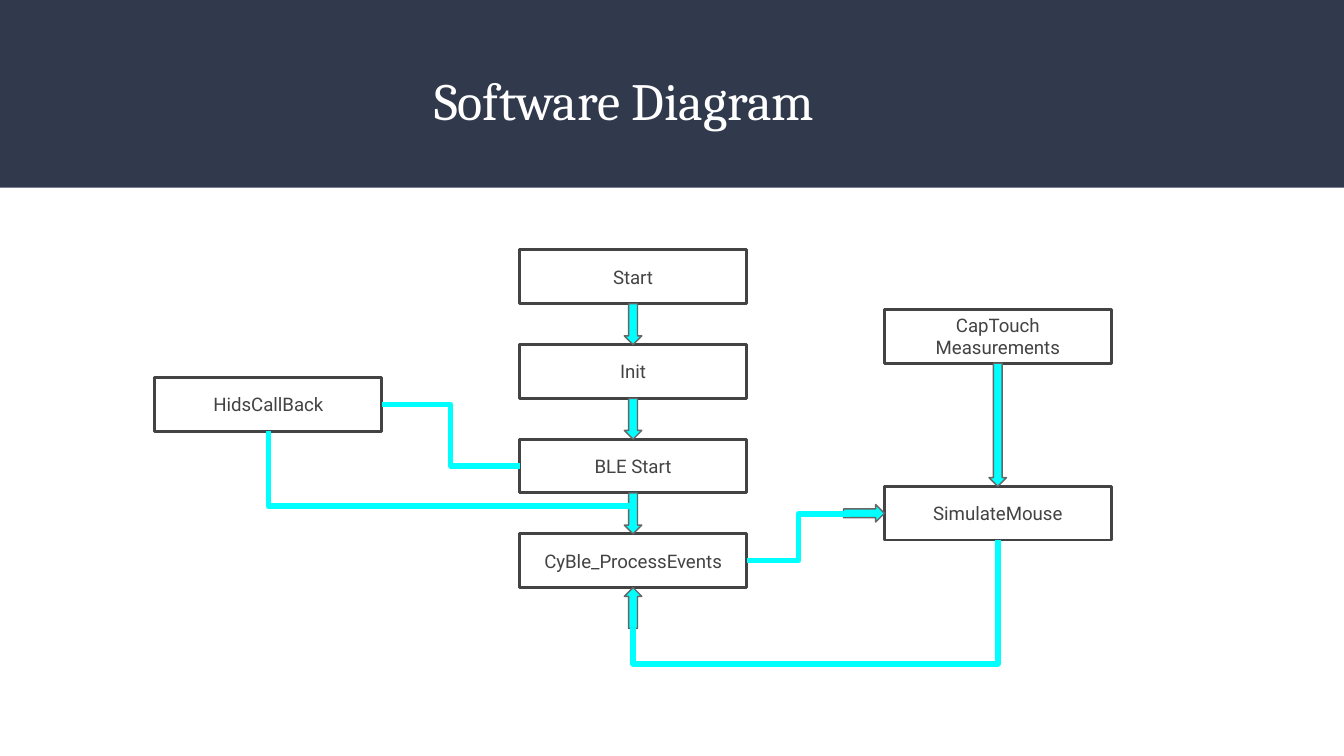
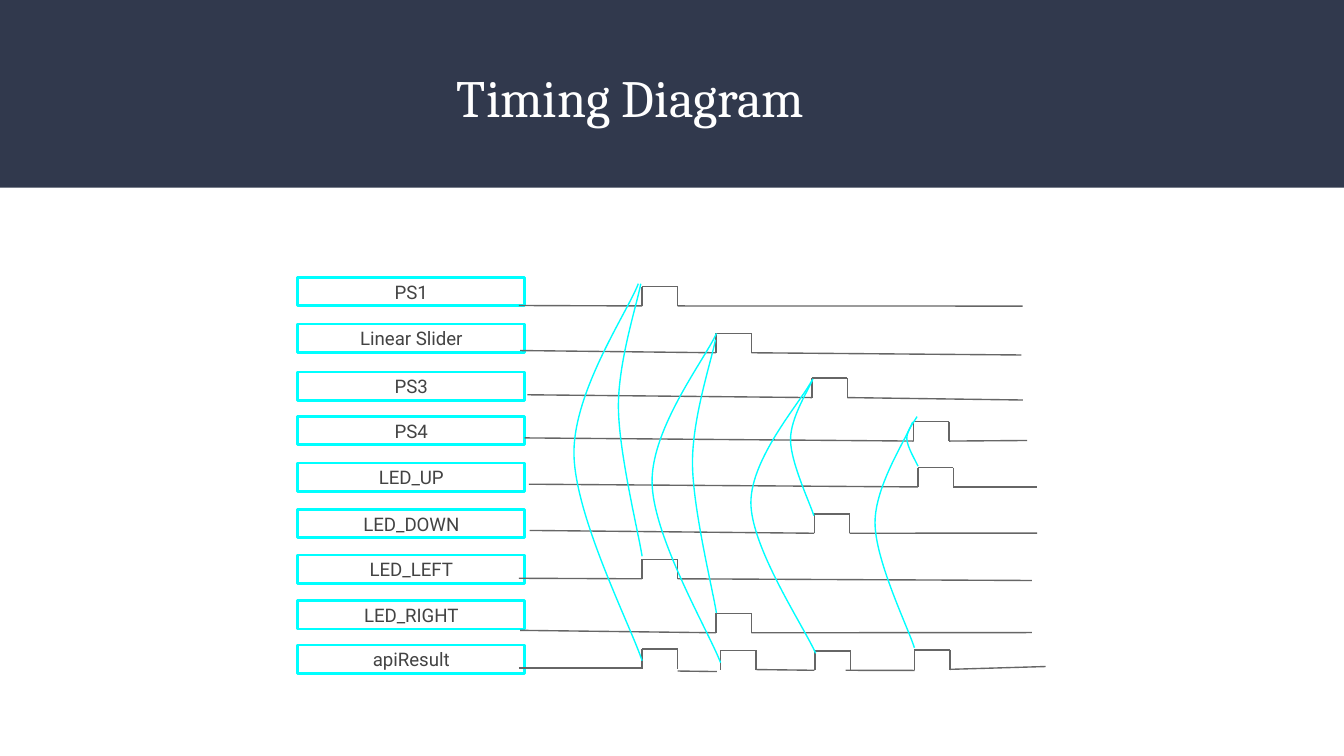
from itertools import pairwise

from lxml.etree import SubElement
from pptx import Presentation
from pptx.dml.color import RGBColor
from pptx.enum.shapes import MSO_CONNECTOR as LINK, MSO_SHAPE as SHAPE
from pptx.enum.text import MSO_ANCHOR as ANCHOR, MSO_AUTO_SIZE as AUTO, PP_ALIGN as ALIGN
from pptx.oxml.ns import qn
from pptx.util import Pt

NAVY, WHITE, CYAN = "31394D", "FFFFFF", "00FFFF"
DARK, GREY = "434343", "666666"
TITLE_FONT, BODY_FONT = "Cambria", "Roboto"
SLIDE_W, SLIDE_H, BAND_H = 720, 405, 100.5
BOX_W, BOX_H, LABEL_H = 121.5, 28.8, 15.3
ARROW_W = 9.4
PULSE_W, PULSE_H = 19, 10.4

# Slide 1
MAIN_X, SIDE_X, CALLBACK_X = 278.4, 473.8, 83
MAIN_TOP, MAIN_STEP = 133.9, 50.7
MAIN_STEPS = ["Start", "Init", "BLE Start", "CyBle_ProcessEvents"]

# Slide 2: label, label top, pulse (left, top), line start, line end
LABEL_X = 159.6
SIGNALS = [
    ("PS1", 148.6, (344, 153.5), (278, 163.7), (547.9, 164)),
    ("Linear Slider", 173.6, (383.5, 178.6), (278.6, 187.8), (547.2, 190.2)),
    ("PS3", 199.3, (435, 202.6), (282.5, 211.5), (548, 214.3)),
    ("PS4", 223.1, (489.5, 225.9), (281, 234.6), (550.3, 236)),
    ("LED_UP", 248.1, (491.8, 250.5), (283.3, 259.4), (555.6, 260.9)),
    ("LED_DOWN", 272.9, (436.2, 275.3), (283.7, 284.2), (555.6, 285.6)),
    ("LED_LEFT", 297.4, (344, 299.7), (278, 309.8), (552.8, 311)),
    ("LED_RIGHT", 321.7, (383.5, 328.6), (278.6, 337.7), (552.8, 338.9)),
]
RESULT_TOP = 345.6
RESULT_PULSES = [(344, 347.8), (386, 348.5), (436.7, 348.8), (489.9, 348.3)]
RESULT_LEVELS = [
    ((278, 357.8), (343.6, 357.8)),
    ((363, 359.5), (384, 359.8)),
    ((405, 358.7), (436.3, 359.1)),
    ((453, 359.1), (490, 359.2)),
    ((509, 358.6), (560.2, 357.1)),
]
# Cause, leftmost point, effect
CURVES = [
    ((343.3, 152), (331.3, 217.5), (344, 298)),
    ((342, 152), (307.5, 242.5), (344, 354)),
    ((383.3, 182), (371, 247.7), (383.8, 328.3)),
    ((383.8, 178.6), (349.3, 257.8), (386, 355)),
    ((435.5, 203), (423.5, 235.5), (436, 276.3)),
    ((435, 203.8), (402.3, 269.3), (437, 350)),
    ((491.3, 223.2), (485.8, 234.8), (491.8, 249.8)),
    ((489, 226), (468.8, 280), (489.9, 347)),
]


def rgb(value):
    return RGBColor.from_string(value)


def set_line(item, color, width):
    item.line.color.rgb = rgb(color)
    item.line.width = Pt(width)


def add_run(paragraph, text, font, size, color):
    run = paragraph.add_run()
    run.text = text
    run.font.name = font
    run.font.size = Pt(size)
    run.font.color.rgb = rgb(color)


def set_insets(frame):
    frame.margin_left = frame.margin_right = Pt(7.2)
    frame.margin_top = frame.margin_bottom = Pt(7.2)
    frame.vertical_anchor = ANCHOR.MIDDLE
    frame.word_wrap = True


def move_band_to_layout(slide):
    """Put the navy band behind the title of every slide of the layout."""
    band = slide.shapes.add_shape(SHAPE.RECTANGLE, 0, 0, Pt(SLIDE_W), Pt(BAND_H))
    band.shadow.inherit = False
    band.fill.solid()
    band.fill.fore_color.rgb = rgb(NAVY)
    band.line.fill.background()
    slide.slide_layout.shapes.element.insert(2, band.element)


def add_titled_slide(deck, text, left, top, width):
    slide = deck.slides.add_slide(deck.slide_layouts[5])
    title = slide.shapes.title
    title.left, title.top, title.width, title.height = map(Pt, (left, top, width, 49))
    frame = title.text_frame
    set_insets(frame)
    frame.auto_size = AUTO.NONE
    frame.paragraphs[0].alignment = ALIGN.LEFT
    add_run(frame.paragraphs[0], text, TITLE_FONT, 28, WHITE)
    return slide


def add_box(slide, text, left, top, height=BOX_H, outline=DARK):
    box = slide.shapes.add_shape(SHAPE.RECTANGLE, Pt(left), Pt(top), Pt(BOX_W), Pt(height))
    box.shadow.inherit = False
    box.fill.background()
    set_line(box, outline, 1.5)
    set_insets(box.text_frame)
    paragraph = box.text_frame.paragraphs[0]
    paragraph.alignment = ALIGN.CENTER
    add_run(paragraph, text, BODY_FONT, 10, DARK)
    return box


def add_block_arrow(slide, preset, left, top, width, height):
    arrow = slide.shapes.add_shape(preset, Pt(left), Pt(top), Pt(width), Pt(height))
    arrow.shadow.inherit = False
    arrow.fill.solid()
    arrow.fill.fore_color.rgb = rgb(CYAN)
    set_line(arrow, GREY, 0.75)


def add_link(slide, kind, start, end, color, width):
    link = slide.shapes.add_connector(kind, *map(Pt, (*start, *end)))
    set_line(link, color, width)
    SubElement(link.element.spPr, qn("a:effectLst"))
    return link


def add_downward_link(slide, start, end, bend=None):
    """Elbow that leaves downwards; bend is where it turns, as a share of its drop."""
    (x1, y1), (x2, y2) = start, end
    mid_x, mid_y = (x1 + x2) / 2, (y1 + y2) / 2
    side = 1 if x2 > x1 else -1
    half_w, half_h = side * (y2 - y1) / 2, abs(x2 - x1) / 2
    link = add_link(slide, LINK.ELBOW, (mid_x + half_w, mid_y - half_h),
                    (mid_x - half_w, mid_y + half_h), CYAN, 3)
    link.rotation = 180 + 90 * side
    geometry = link.element.spPr.find(qn("a:prstGeom"))
    if bend is None:
        geometry.set("prst", "bentConnector2")
    else:
        guides = geometry.find(qn("a:avLst"))
        if guides is None:
            guides = SubElement(geometry, qn("a:avLst"))
        SubElement(guides, qn("a:gd"), name="adj1", fmla=f"val {round(bend * 100000)}")


def between(start, end, share):
    return tuple(a + (b - a) * share for a, b in zip(start, end))


def add_curve(slide, cause, bulge, effect):
    points = [
        between(cause, bulge, 1 / 6),
        (bulge[0], between(cause, bulge, 0.63)[1]),
        bulge,
        (bulge[0], between(bulge, effect, 0.3)[1]),
        between(bulge, effect, 5 / 6),
        effect,
    ]
    builder = slide.shapes.build_freeform(*map(Pt, cause))
    builder.add_line_segments([(Pt(x), Pt(y)) for x, y in points], close=False)
    curve = builder.convert_to_shape()
    curve.shadow.inherit = False
    curve.fill.background()
    set_line(curve, CYAN, 0.75)
    outline = curve.element.find(".//" + qn("a:path"))
    segments = outline.findall(qn("a:lnTo"))
    for first in range(0, len(segments), 3):
        bezier = SubElement(outline, qn("a:cubicBezTo"))
        for segment in segments[first:first + 3]:
            bezier.append(segment[0])
            outline.remove(segment)


def add_signal_line(slide, start, end):
    add_link(slide, LINK.STRAIGHT, start, end, GREY, 0.75)


def add_pulse(slide, left, top):
    right, base = left + PULSE_W, top + PULSE_H
    corners = [(left, base), (left, top), (right, top), (right, base)]
    for start, end in pairwise(corners):
        add_signal_line(slide, start, end)


def build_software_slide(slide):
    tops = [MAIN_TOP + MAIN_STEP * i for i in range(len(MAIN_STEPS))]
    main = [add_box(slide, text, MAIN_X, top) for text, top in zip(MAIN_STEPS, tops)]
    ble_start, process = main[2:]
    sense_top, mouse_top, callback_top = 165.8, 260.6, 202.3
    add_box(slide, "CapTouch Measurements", SIDE_X, sense_top)
    add_box(slide, "SimulateMouse", SIDE_X, mouse_top)
    callback = add_box(slide, "HidsCallBack", CALLBACK_X, callback_top)

    main_mid, side_mid, callback_mid = (x + BOX_W / 2 for x in (MAIN_X, SIDE_X, CALLBACK_X))
    gap = MAIN_STEP - BOX_H
    process_bottom = tops[-1] + BOX_H
    mouse_mid = mouse_top + BOX_H / 2
    for top in tops[:-1]:
        add_block_arrow(slide, SHAPE.DOWN_ARROW, main_mid - ARROW_W / 2, top + BOX_H,
                        ARROW_W, gap)
    add_block_arrow(slide, SHAPE.UP_ARROW, main_mid - ARROW_W / 2, process_bottom,
                    ARROW_W, gap)
    add_block_arrow(slide, SHAPE.RIGHT_ARROW, SIDE_X - gap, mouse_mid - ARROW_W / 2,
                    gap, ARROW_W)
    sense_bottom = sense_top + BOX_H
    add_block_arrow(slide, SHAPE.DOWN_ARROW, side_mid - ARROW_W / 2, sense_bottom,
                    ARROW_W, mouse_top - sense_bottom)

    process_exit = (MAIN_X + BOX_W, tops[-1] + BOX_H / 2)
    to_mouse = add_link(slide, LINK.ELBOW, process_exit, (455.5, mouse_mid + 0.5), CYAN, 3)
    to_mouse.begin_connect(process, 3)
    to_callback = add_link(slide, LINK.ELBOW, (MAIN_X, tops[2] + BOX_H / 2),
                           (CALLBACK_X + BOX_W, callback_top + BOX_H / 2), CYAN, 3)
    to_callback.begin_connect(ble_start, 1)
    to_callback.end_connect(callback, 3)
    add_downward_link(slide, (side_mid, mouse_top + BOX_H),
                      (main_mid, process_bottom + gap), bend=1.4)
    add_downward_link(slide, (callback_mid, callback_top + BOX_H), (main_mid, 271.2))


def build_timing_slide(slide):
    for label, label_top, (left, top), start, end in SIGNALS:
        add_box(slide, label, LABEL_X, label_top, LABEL_H, CYAN)
        add_signal_line(slide, start, (left, top + PULSE_H))
        add_pulse(slide, left, top)
        add_signal_line(slide, (left + PULSE_W, top + PULSE_H), end)
    add_box(slide, "apiResult", LABEL_X, RESULT_TOP, LABEL_H, CYAN)
    for pulse in RESULT_PULSES:
        add_pulse(slide, *pulse)
    for level in RESULT_LEVELS:
        add_signal_line(slide, *level)
    for curve in CURVES:
        add_curve(slide, *curve)


def main():
    deck = Presentation()
    deck.slide_width, deck.slide_height = Pt(SLIDE_W), Pt(SLIDE_H)
    software = add_titled_slide(deck, "Software Diagram", 225.4, 29, 269.3)
    move_band_to_layout(software)
    build_software_slide(software)
    timing = add_titled_slide(deck, "Timing Diagram", 237.6, 27.4, 244.8)
    build_timing_slide(timing)
    deck.save("out.pptx")


if __name__ == "__main__":
    main()
